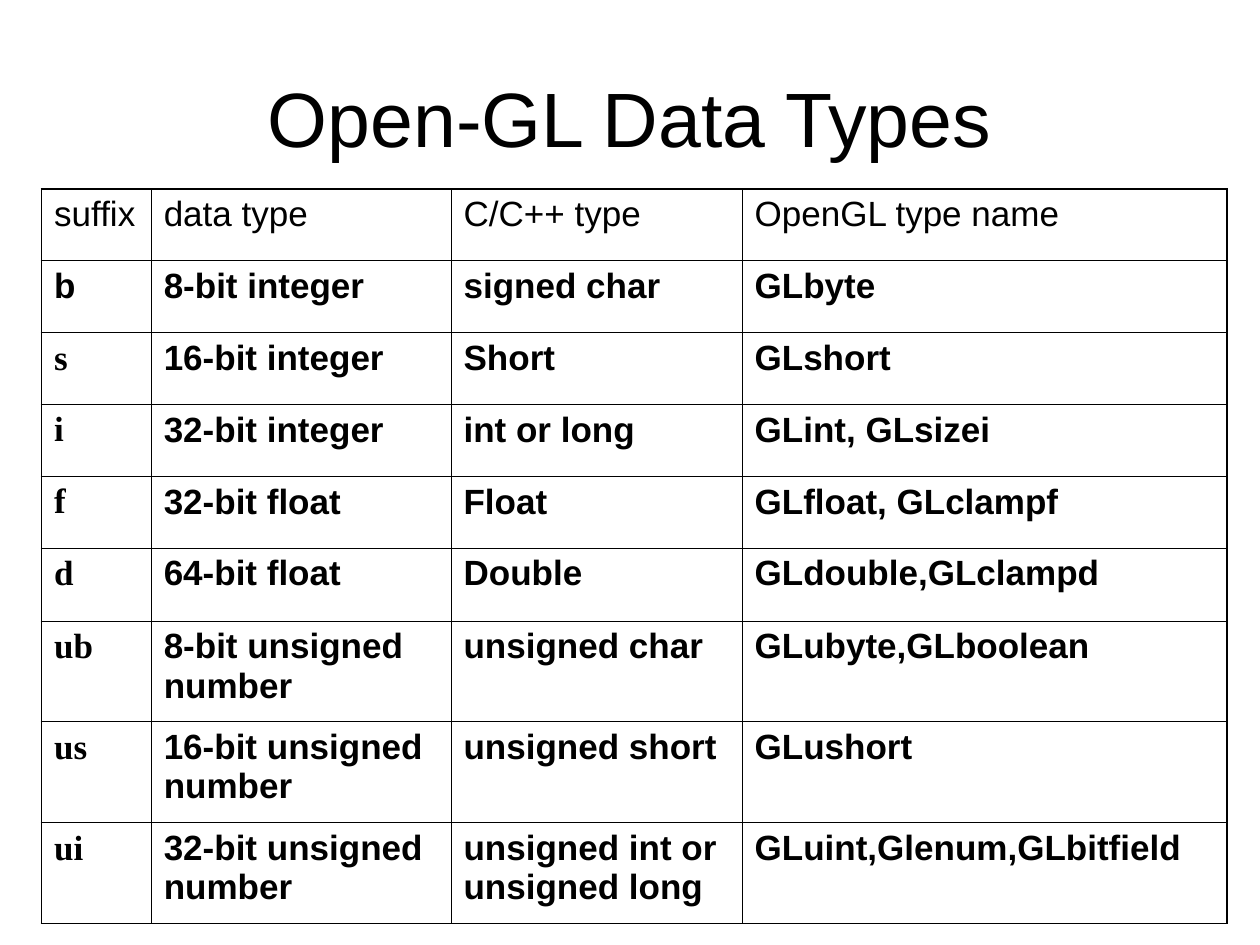
from lxml import etree
from pptx import Presentation
from pptx import util as u
from pptx.dml import color
from pptx.enum import text
from pptx.oxml import ns

COLUMN_WIDTHS = [0.87, 2.38, 2.31, 3.85]
ROW_HEIGHTS = [0.57] * 5 + [0.58] + [0.8] * 3
DATA_TYPES = [
    ("suffix", "data type", "C/C++ type", "OpenGL type name"),
    ("b", "8-bit integer", "signed char", "GLbyte"),
    ("s", "16-bit integer", "Short", "GLshort"),
    ("i", "32-bit integer", "int or long", "GLint, GLsizei"),
    ("f", "32-bit float", "Float", "GLfloat, GLclampf"),
    ("d", "64-bit float", "Double", "GLdouble,GLclampd"),
    ("ub", "8-bit unsigned number", "unsigned char", "GLubyte,GLboolean"),
    ("us", "16-bit unsigned number", "unsigned short", "GLushort"),
    ("ui", "32-bit unsigned number", "unsigned int or unsigned long",
     "GLuint,Glenum,GLbitfield"),
]


def rgb(value):
    return color.RGBColor.from_string(value)


def write_text(frame, content, size=20, font="Arial", bold=False,
               ink="000000", align=text.PP_ALIGN.LEFT):
    frame.word_wrap = True
    paragraph = frame.paragraphs[0]
    paragraph.alignment = align
    run = paragraph.add_run()
    run.text = content
    run.font.size = u.Pt(size)
    run.font.name = font
    run.font.bold = bold
    run.font.color.rgb = rgb(ink)


def set_borders(cell, widths, ink):
    """Draw the cell's borders; widths are points for left, right, top, bottom."""
    properties = cell._tc.get_or_add_tcPr()
    for index, (side, width) in enumerate(zip("LRTB", widths)):
        line = etree.Element(ns.qn(f"a:ln{side}"), w=str(u.Pt(width)))
        fill = etree.SubElement(line, ns.qn("a:solidFill"))
        etree.SubElement(fill, ns.qn("a:srgbClr"), val=ink)
        properties.insert(index, line)


class SlideBuilder:
    ink = "000000"
    inner_line = 0.45
    outer_line = 1.08

    def __init__(self, presentation):
        self.slide = presentation.slides.add_slide(presentation.slide_layouts[5])

    def title(self, content, left, top, width, height):
        shape = self.slide.shapes.title
        shape.left, shape.top = u.Inches(left), u.Inches(top)
        shape.width, shape.height = u.Inches(width), u.Inches(height)
        shape.text_frame.vertical_anchor = text.MSO_ANCHOR.MIDDLE
        write_text(shape.text_frame, content, size=44, ink=self.ink,
                   align=text.PP_ALIGN.CENTER)

    def table(self, rows, left, top, column_widths, row_heights):
        last_row, last_column = len(rows) - 1, len(column_widths) - 1
        table = self.slide.shapes.add_table(
            len(rows), len(column_widths), u.Inches(left), u.Inches(top),
            u.Inches(sum(column_widths)), u.Inches(sum(row_heights))).table
        table.first_row = table.horz_banding = False
        for column, width in zip(table.columns, column_widths):
            column.width = u.Inches(width)
        for row, height in zip(table.rows, row_heights):
            row.height = u.Inches(height)
        for r, row in enumerate(rows):
            for c, content in enumerate(row):
                cell = table.cell(r, c)
                cell.fill.background()
                on_edge = (c == 0, c == last_column, r == 0, r == last_row)
                set_borders(cell, [self.outer_line if edge else self.inner_line
                                   for edge in on_edge], self.ink)
                serif = c == 0 and r > 1
                write_text(cell.text_frame, content, bold=r > 0, ink=self.ink,
                           font="Times New Roman" if serif else "Arial")


def main():
    presentation = Presentation()
    presentation.slide_width = u.Inches(10)
    presentation.slide_height = u.Inches(7.5)
    builder = SlideBuilder(presentation)
    builder.title("Open-GL Data Types", 0.5, 0.3, 9, 1.25)
    builder.table(DATA_TYPES, 0.33, 1.5, COLUMN_WIDTHS, ROW_HEIGHTS)
    presentation.save("out.pptx")


if __name__ == "__main__":
    main()
